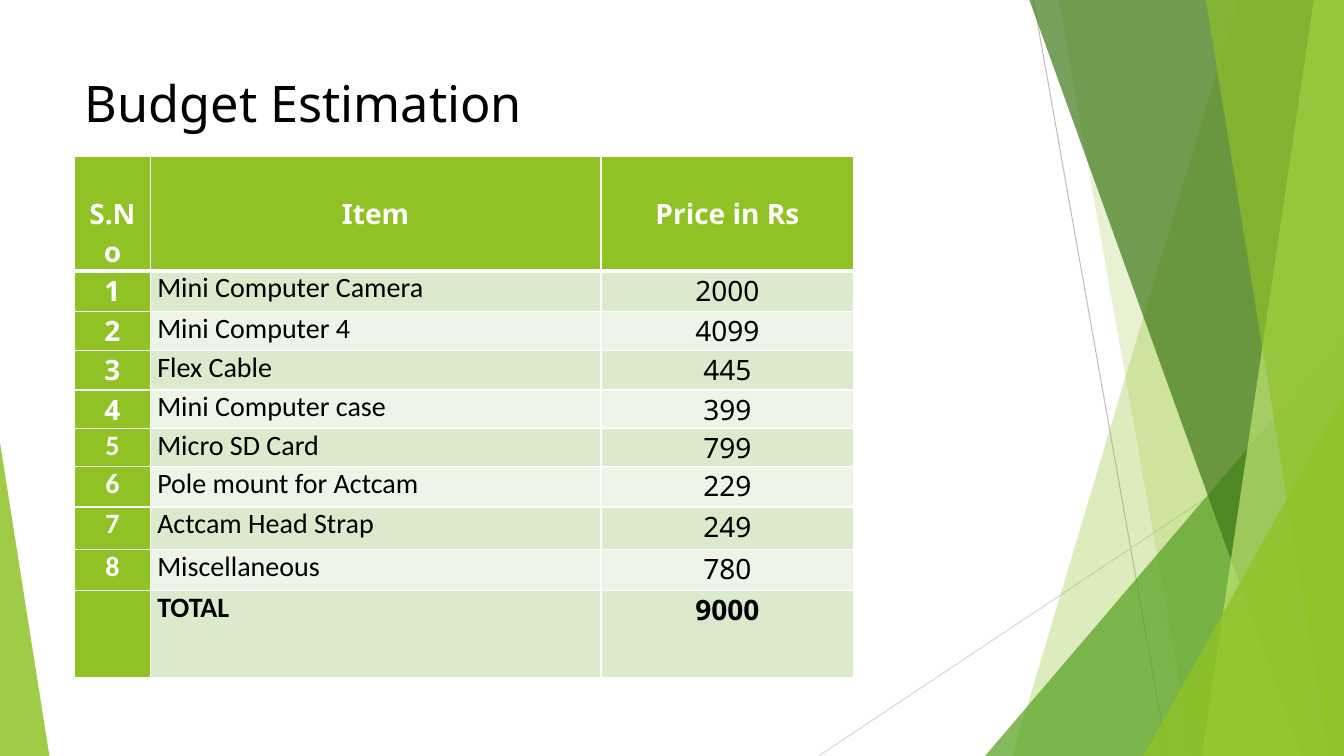
from typing import NamedTuple

from lxml.etree import SubElement
from pptx import Presentation
from pptx.dml.color import RGBColor
from pptx.enum.shapes import MSO_CONNECTOR as Conn, MSO_SHAPE as Shape
from pptx.enum.text import MSO_ANCHOR as Anchor, PP_ALIGN as Align
from pptx.oxml.ns import qn
from pptx.util import Inches, Pt

WHITE = RGBColor(0xFF, 0xFF, 0xFF)
BLACK = RGBColor(0x00, 0x00, 0x00)
GREEN = RGBColor(0x90, 0xC2, 0x26)
MID_GREEN = RGBColor(0x54, 0xA0, 0x21)
DARK_GREEN = RGBColor(0x3F, 0x78, 0x19)
PALE_GREEN = RGBColor(0xC0, 0xE4, 0x74)
BAND_ODD = RGBColor(0xDB, 0xE9, 0xCD)
BAND_EVEN = RGBColor(0xEE, 0xF4, 0xE8)
GREY = RGBColor(0xBF, 0xBF, 0xBF)
LIGHT_GREY = RGBColor(0xD9, 0xD9, 0xD9)
SANS, BODY = "Noto Sans", "Calibri"
WIDTH, HEIGHT = 13.33, 7.5


class Ray(NamedTuple):
    x1: float
    y1: float
    x2: float
    y2: float
    color: RGBColor


class Facet(NamedTuple):
    """Full-height panel reaching from a slanted left edge to the slide edge."""
    top_x: float
    bottom_x: float
    color: RGBColor
    opacity: int


class Corner(NamedTuple):
    """Triangle standing on the bottom of the slide."""
    left: float
    top: float
    width: float
    apex: float
    color: RGBColor
    opacity: int


class Item(NamedTuple):
    number: str
    name: str
    price: str
    height: float
    number_font: str = SANS
    bold: bool = False


RAYS = [Ray(10.25, 0, 11.58, HEIGHT, GREY), Ray(WIDTH, 4.03, 8.12, HEIGHT, LIGHT_GREY)]
DECOR = [
    Facet(12.28, 10.04, GREEN, 30),
    Facet(10.5, 11.83, GREEN, 20),
    Corner(9.77, 3.33, 3.56, 1, MID_GREEN, 72),
    Facet(10.21, 12.91, DARK_GREEN, 70),
    Facet(13.03, 11.92, PALE_GREEN, 70),
    Facet(11.96, 13.18, GREEN, 65),
    Corner(11.34, 3.93, 1.99, 1, GREEN, 80),
    Corner(0, 4.39, 0.49, 0, GREEN, 85),
]
HEADERS = ["S.No", "Item", "Price in Rs"]
HEADER_HEIGHT = 1.13
COLUMNS = [0.75, 4.47, 2.51]
ITEMS = [
    Item("1", "Mini Computer Camera", "2000", 0.4),
    Item("2", "Mini Computer 4", "4099", 0.39),
    Item("3", "Flex Cable", "445", 0.39),
    Item("4", "Mini Computer case", "399", 0.38),
    Item("5", "Micro SD Card", "799", 0.38, BODY),
    Item("6", "Pole mount for Actcam", "229", 0.4, BODY),
    Item("7", "Actcam Head Strap", "249", 0.42, BODY),
    Item("8", "Miscellaneous", "780", 0.41, BODY),
    Item("", "TOTAL", "9000", 0.86, BODY, True),
]


def draw_ray(shapes, ray: Ray) -> None:
    s = shapes.add_connector(Conn.STRAIGHT, *(Inches(v) for v in ray[:4]))
    s.line.color.rgb = ray.color
    s.line.width = Pt(0.75)
    SubElement(s._element.spPr, qn("a:effectLst"))


def paint(s, color: RGBColor, opacity: int) -> None:
    s.shadow.inherit = False
    s.line.fill.background()
    s.fill.solid()
    s.fill.fore_color.rgb = color
    rgb = s._element.spPr.find(qn("a:solidFill"))[0]
    SubElement(rgb, qn("a:alpha"), val=str(opacity * 1000))


def draw_facet(shapes, facet: Facet) -> None:
    builder = shapes.build_freeform(Inches(facet.top_x), 0)
    corners = [(WIDTH, 0), (WIDTH, HEIGHT), (facet.bottom_x, HEIGHT)]
    builder.add_line_segments([(Inches(x), Inches(y)) for x, y in corners], close=True)
    paint(builder.convert_to_shape(), facet.color, facet.opacity)


def draw_corner(shapes, corner: Corner) -> None:
    s = shapes.add_shape(Shape.ISOSCELES_TRIANGLE, Inches(corner.left), Inches(corner.top),
                         Inches(corner.width), Inches(HEIGHT - corner.top))
    s.adjustments[0] = corner.apex
    paint(s, corner.color, corner.opacity)


def set_borders(cell, top: float = 1, bottom: float = 1) -> None:
    tc_pr = cell._tc.get_or_add_tcPr()
    for side, width in (("L", 1), ("R", 1), ("T", top), ("B", bottom)):
        ln = SubElement(tc_pr, qn(f"a:ln{side}"), w=str(Pt(width)))
        fill = SubElement(ln, qn("a:solidFill"))
        SubElement(fill, qn("a:srgbClr"), val=str(WHITE))


def fill_cell(cell, text: str, fill: RGBColor, color: RGBColor, font: str,
              bold: bool, align: Align) -> None:
    cell.fill.solid()
    cell.fill.fore_color.rgb = fill
    cell.margin_left = cell.margin_right = Inches(0.07)
    cell.margin_top = cell.margin_bottom = 0
    p = cell.text_frame.paragraphs[0]
    p.text = text
    p.alignment = align
    p.font.name, p.font.size, p.font.bold = font, Pt(20), bold
    p.font.color.rgb = color


prs = Presentation()
prs.slide_width, prs.slide_height = Inches(WIDTH), Inches(HEIGHT)
slide = prs.slides.add_slide(prs.slide_layouts[5])
shapes = slide.shapes

# Background rays and facets
for ray in RAYS:
    draw_ray(shapes, ray)
for part in DECOR:
    if isinstance(part, Facet):
        draw_facet(shapes, part)
    else:
        draw_corner(shapes, part)

# Title
title = shapes.title
title.left, title.top = Inches(0.74), Inches(0.67)
title.width, title.height = Inches(9.4), Inches(1.44)
tf = title.text_frame
tf.text = "Budget Estimation"
tf.vertical_anchor = Anchor.TOP
p = tf.paragraphs[0]
p.alignment = Align.LEFT
p.font.name, p.font.size = SANS, Pt(36)
p.font.color.rgb = BLACK

# Budget table
heights = [HEADER_HEIGHT] + [item.height for item in ITEMS]
table = shapes.add_table(len(heights), len(COLUMNS), Inches(0.74), Inches(1.55),
                         Inches(sum(COLUMNS)), Inches(sum(heights))).table
for column, width in zip(table.columns, COLUMNS):
    column.width = Inches(width)
for row, height in zip(table.rows, heights):
    row.height = Inches(height)

for cell, text in zip(table.rows[0].cells, HEADERS):
    set_borders(cell, bottom=3)
    fill_cell(cell, text, GREEN, WHITE, SANS, True, Align.CENTER)
    cell.margin_top = Inches(0.38)

for i, item in enumerate(ITEMS, start=1):
    number, name, price = table.rows[i].cells
    for cell in (number, name, price):
        set_borders(cell, top=3 if i == 1 else 1)
    band = BAND_ODD if i % 2 else BAND_EVEN
    fill_cell(number, item.number, GREEN, WHITE, item.number_font, True, Align.CENTER)
    fill_cell(name, item.name, band, BLACK, BODY, item.bold, Align.LEFT)
    fill_cell(price, item.price, band, BLACK, SANS, item.bold, Align.CENTER)

prs.save("out.pptx")
